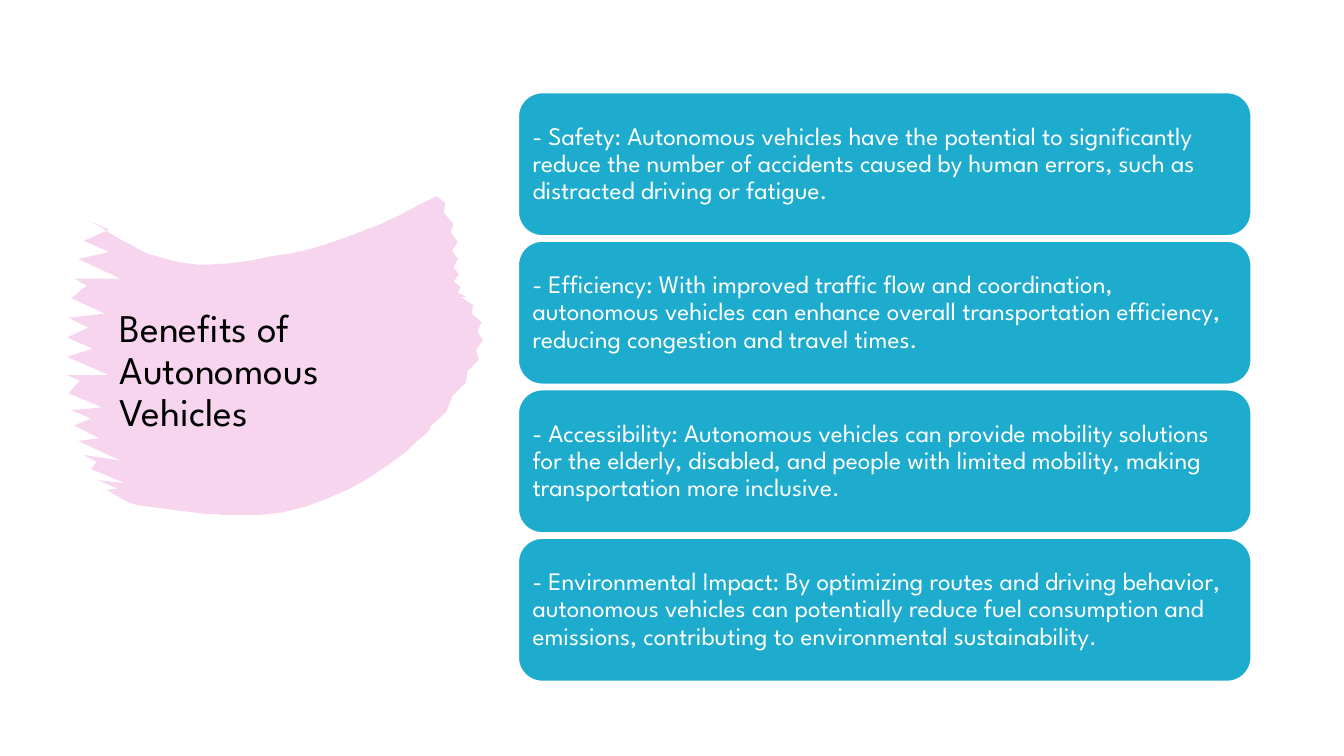
from itertools import cycle

from lxml import etree
from pptx import Presentation
from pptx.dml.color import RGBColor
from pptx.enum import shapes, text
from pptx.oxml import ns
from pptx.util import Pt

TITLE = "Benefits of Autonomous Vehicles"
BENEFITS = [
    "- Safety: Autonomous vehicles have the potential to significantly reduce the number of "
    "accidents caused by human errors, such as distracted driving or fatigue.",
    "- Efficiency: With improved traffic flow and coordination, autonomous vehicles can enhance "
    "overall transportation efficiency, reducing congestion and travel times.",
    "- Accessibility: Autonomous vehicles can provide mobility solutions for the elderly, "
    "disabled, and people with limited mobility, making transportation more inclusive.",
    "- Environmental Impact: By optimizing routes and driving behavior, autonomous vehicles can "
    "potentially reduce fuel consumption and emissions, contributing to environmental "
    "sustainability.",
]

FONT = "League Spartan"
PINK = RGBColor(0xE0, 0x30, 0xAF)
BLUE = RGBColor(0x1E, 0xAC, 0xCE)
WHITE = RGBColor(0xFF, 0xFF, 0xFF)
BLACK = RGBColor(0, 0, 0)

# Brush edges, clockwise: each Bezier curve is start, two handles, end, in points
BRUSH_TOP = [
    [(64, 158), (95, 176), (115, 190), (149, 189)],
    [(149, 189), (215, 184), (255, 170), (312, 140)],
]
BRUSH_RIGHT = [
    [(316, 145), (332, 175), (320, 200), (331, 212)],
    [(331, 212), (352, 238), (347, 255), (308, 306)],
]
BRUSH_BOTTOM = [
    [(308, 306), (307, 306), (257, 363), (184, 368)],
    [(184, 368), (155, 368), (120, 366), (92, 359)],
]
BRISTLE_TIPS = [(76, 350), (42, 315), (40, 230), (64, 158)]
BRISTLE_COUNT = 16
BRISTLE_DEPTHS = (14, 24, 9, 30, 18)
BRISTLE_SLOPE = 0.45
RIPPLE = 2
CURVE_STEPS = 12
BRUSH_ALPHA = "20000"

TITLE_BOX = (78.5, 206.6, 236.9, 118.1)
CARD_LEFT, CARD_TOP = 370.3, 66.2
CARD_WIDTH, CARD_HEIGHT, CARD_GAP = 523.4, 102.2, 3.9
CARD_INSET = Pt(5.2)


def sample(curve, steps):
    """Return evenly timed points on a cubic Bezier curve, both ends included."""
    points = []
    for step in range(steps + 1):
        t = step / steps
        weights = ((1 - t) ** 3, 3 * t * (1 - t) ** 2, 3 * t ** 2 * (1 - t), t ** 3)
        points.append(tuple(sum(weight * value for weight, value in zip(weights, axis))
                            for axis in zip(*curve)))
    return points


def smooth_edge(curves):
    return [point for curve in curves for point in sample(curve, CURVE_STEPS)]


def rippled_edge(curves):
    """Push every other point of the edge out and the rest in."""
    return [(x + ripple, y) for (x, y), ripple in zip(smooth_edge(curves), cycle((RIPPLE, -RIPPLE)))]


def bristled_edge(tip_curve):
    """Cut a slanted notch, of varying depth, before each bristle tip."""
    tips = sample(tip_curve, BRISTLE_COUNT)
    edge = tips[:1]
    for (x, y), depth in zip(tips[1:], cycle(BRISTLE_DEPTHS)):
        edge += [(x + depth, y + BRISTLE_SLOPE * depth), (x, y)]
    return edge


def add_brush(slide):
    outline = (smooth_edge(BRUSH_TOP) + rippled_edge(BRUSH_RIGHT)
               + smooth_edge(BRUSH_BOTTOM) + bristled_edge(BRISTLE_TIPS))
    builder = slide.shapes.build_freeform(*outline[0], scale=Pt(1))
    builder.add_line_segments(outline[1:], close=True)
    brush = builder.convert_to_shape()
    brush.shadow.inherit = False
    brush.line.fill.background()
    brush.fill.solid()
    brush.fill.fore_color.rgb = PINK
    color = brush.element.spPr.find(f"{ns.qn('a:solidFill')}/{ns.qn('a:srgbClr')}")
    etree.SubElement(color, ns.qn("a:alpha"), val=BRUSH_ALPHA)


def write(shape, words, size, color):
    """Put one left-aligned, vertically centred paragraph into a shape."""
    frame = shape.text_frame
    frame.word_wrap = True
    frame.vertical_anchor = text.MSO_ANCHOR.MIDDLE
    paragraph = frame.paragraphs[0]
    paragraph.text = words
    paragraph.alignment = text.PP_ALIGN.LEFT
    paragraph.line_spacing = 0.9
    paragraph.font.name = FONT
    paragraph.font.size = Pt(size)
    paragraph.font.color.rgb = color


def add_title(slide):
    title = slide.shapes.add_textbox(*map(Pt, TITLE_BOX))
    write(title, TITLE, 28, BLACK)


def add_card(slide, index, benefit):
    top = CARD_TOP + index * (CARD_HEIGHT + CARD_GAP)
    card = slide.shapes.add_shape(
        shapes.MSO_SHAPE.ROUNDED_RECTANGLE,
        Pt(CARD_LEFT), Pt(top), Pt(CARD_WIDTH), Pt(CARD_HEIGHT))
    card.shadow.inherit = False
    card.fill.solid()
    card.fill.fore_color.rgb = BLUE
    card.line.color.rgb = WHITE
    card.line.width = Pt(1)
    frame = card.text_frame
    frame.margin_left = frame.margin_right = CARD_INSET
    frame.margin_top = frame.margin_bottom = CARD_INSET
    write(card, benefit, 18, WHITE)


def main():
    presentation = Presentation()
    presentation.slide_width, presentation.slide_height = Pt(960), Pt(540)
    slide = presentation.slides.add_slide(presentation.slide_layouts[6])
    add_brush(slide)
    add_title(slide)
    for index, benefit in enumerate(BENEFITS):
        add_card(slide, index, benefit)
    presentation.save("out.pptx")


if __name__ == "__main__":
    main()
